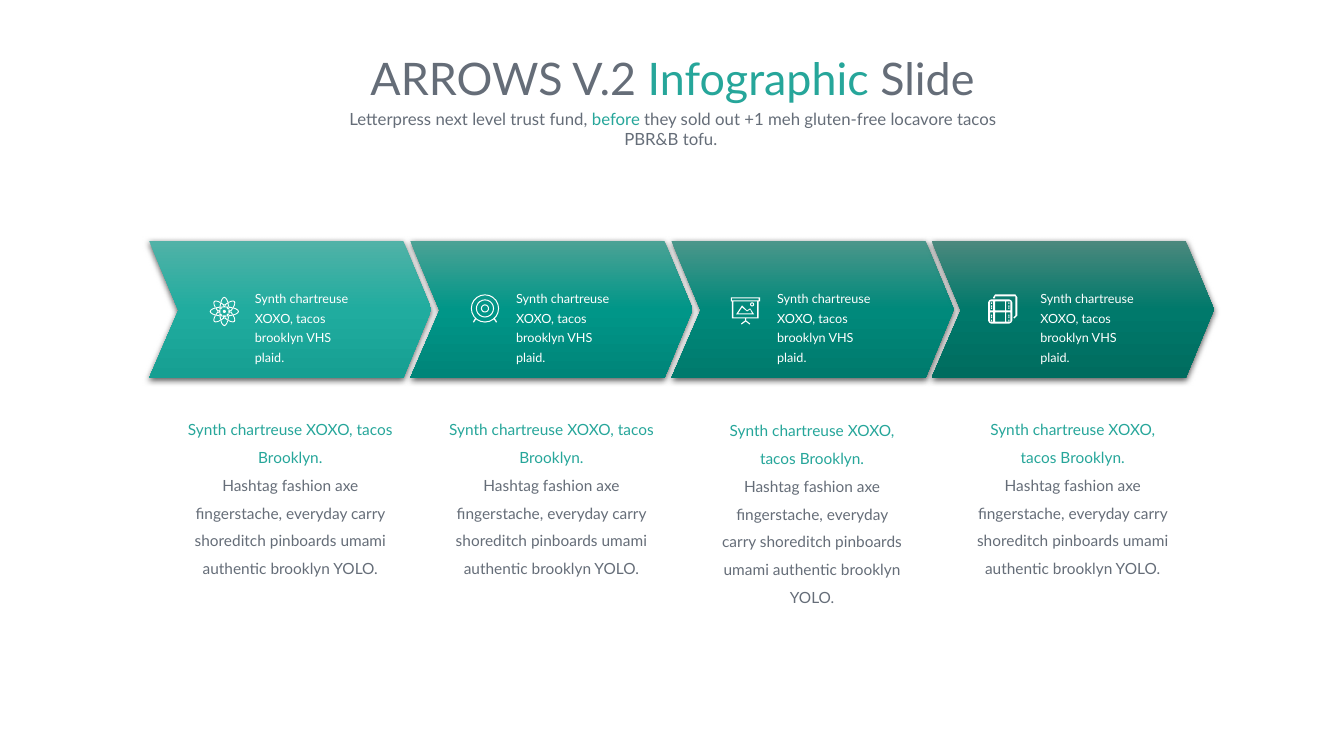
import math

from pptx import Presentation, util as u
from pptx.dml.color import RGBColor
from pptx.enum import text
from pptx.oxml import parse_xml
from pptx.oxml.ns import nsdecls

GREY, TEAL, WHITE = "656D78", "26A69A", "FFFFFF"


def add_text(parent, box, paragraphs, size, align, spacing=1.0):
    """Add a text box; each paragraph is a list of (wording, colour) runs."""
    shape = parent.add_textbox(*map(u.Inches, box))
    frame = shape.text_frame
    frame.word_wrap = True
    frame.auto_size = text.MSO_AUTO_SIZE.SHAPE_TO_FIT_TEXT
    for index, runs in enumerate(paragraphs):
        paragraph = frame.add_paragraph() if index else frame.paragraphs[0]
        paragraph.alignment = align
        paragraph.line_spacing = spacing
        for wording, colour in runs:
            run = paragraph.add_run()
            run.text = wording
            run.font.name = "Lato"
            run.font.size = u.Pt(size)
            run.font.color.rgb = RGBColor.from_string(colour)


def add_outline(parent, contours):
    """Add one freeform of closed contours; a contour inside another is a hole."""
    contours = [[(u.Inches(x), u.Inches(y)) for x, y in points] for points in contours]
    builder = parent.build_freeform(*contours[0][0])
    for index, points in enumerate(contours):
        if index:
            builder.move_to(*points[0])
        builder.add_line_segments(points[1:], close=True)
    shape = builder.convert_to_shape()
    shape.line.fill.background()
    return shape


presentation = Presentation()
presentation.slide_width = u.Inches(13.33)
presentation.slide_height = u.Inches(7.5)
slide = presentation.slides.add_slide(presentation.slide_layouts[6])

CENTER, LEFT = text.PP_ALIGN.CENTER, text.PP_ALIGN.LEFT
add_text(slide.shapes, (2.54, 0.45, 8.26, 0.64),
         [[("ARROWS V.2 ", GREY), ("Infographic ", TEAL), ("Slide", GREY)]], 32, CENTER)
add_text(slide.shapes, (3.2, 1.03, 6.95, 0.3),
         [[("Letterpress next level trust fund, ", GREY), ("before", TEAL),
           (" they sold out +1 meh gluten-free locavore tacos PBR&B tofu. ", GREY)]], 12, CENTER)

# Icons in hundredths of an inch from their own corner: ellipses are (centre x, centre y,
# radius x, radius y, angle), boxes are (left, top, right, bottom), polygons are point lists
atom = {
    "corner": (2.08, 2.95),
    "ellipses": [(14.5, 14, 14.5 - inset, 5 - inset, angle)
                 for angle in (0, 45, 90, 135) for inset in (0, 1)] + [(14.5, 14, 1.5, 1.5, 0)],
    "boxes": [],
    "polygons": [],
}
target = {
    "corner": (4.67, 2.92),
    "ellipses": [(14, 14, radius, radius, 0) for radius in (14, 13, 9, 8, 4, 3)],
    "boxes": [],
    "polygons": [[(4, 24), (5, 25), (3, 28), (2, 27.5)], [(24, 24), (23, 25), (25, 28), (26, 27.5)]],
}
board = {
    "corner": (7.25, 2.94),
    "ellipses": [(21, 8, 2, 2, 0), (21, 8, 1, 1, 0)],
    "boxes": [(0, 1, 29, 5), (1, 2, 27.5, 4), (1, 5, 27.5, 22), (2.5, 5, 26, 21)],
    "polygons": [
        [(14, 22), (14, 24), (10, 27), (10.5, 28), (14.5, 25), (18.5, 28), (19, 27),
         (15, 24), (15, 22)],
        [(5, 18), (11, 9), (16, 14), (19, 12), (23, 18)],
        [(7, 17), (11, 11), (16, 15), (19, 13), (21, 17)],
    ],
}
film = {
    "corner": (9.8, 2.92),
    "ellipses": [],
    "boxes": [(left, top, right, top + 9) for top in (7, 18)
              for left, right in ((2, 5), (7, 17), (18, 22))]
    + [(left, top, left + 1, top + 1.5) for left in (3, 20) for top in (8, 11, 13, 20, 22, 25)],
    "polygons": [
        [(0, 8), (1, 6), (3, 5), (21, 5), (23, 6), (24, 8), (24, 26), (23, 28), (21, 29),
         (3, 29), (1, 28), (0, 26)],
        [(5, 4), (5, 3), (7, 0), (27, 0), (29, 3), (29, 21), (26, 24), (25, 23), (27, 21),
         (27, 2), (7, 2), (7, 4)],
    ],
}

# arrow left, gradient, description box, label left, icon
steps = [
    (1.48, ("51B2A7", "20AC9F", "169F92"), (1.72, 4.03, 2.32, 1.74), 2.43, atom),
    (4.07, ("4BA295", "009688", "008579"), (4.31, 4.03, 2.32, 1.74), 5.02, target),
    (6.66, ("4B968A", "00897B", "007A6D"), (7.03, 4.04, 2.05, 1.74), 7.61, board),
    (9.24, ("4B887D", "00796B", "006C5F"), (9.55, 4.03, 2.18, 1.74), 10.22, film),
]
ARROW_POINTS = [(0.29, 3.08), (0, 2.39), (2.52, 2.39), (2.8, 3.07), (2.52, 3.75), (0, 3.75)]
ELLIPSE_TURNS = [2 * math.pi * step / 20 for step in range(20)]

for left, gradient, description_box, label_left, icon in steps:
    arrow = add_outline(slide.shapes, [[(left + x, y) for x, y in ARROW_POINTS]])
    stops = "".join(f'<a:gs pos="{50000 * i}"><a:srgbClr val="{colour}"/></a:gs>'
                    for i, colour in enumerate(gradient))
    properties = arrow.element.spPr
    properties.insert(2, parse_xml(
        f'<a:gradFill {nsdecls("a")} rotWithShape="1"><a:gsLst>{stops}</a:gsLst>'
        '<a:lin ang="5400000" scaled="0"/></a:gradFill>'))
    properties.append(parse_xml(
        f'<a:effectLst {nsdecls("a")}><a:outerShdw blurRad="57150" dist="19050" dir="5400000" '
        'algn="ctr" rotWithShape="0"><a:srgbClr val="000000"><a:alpha val="63000"/>'
        '</a:srgbClr></a:outerShdw></a:effectLst>'))

    add_text(slide.shapes, description_box, [
        [("Synth chartreuse XOXO, tacos Brooklyn.", TEAL)],
        [("Hashtag fashion axe fingerstache, everyday carry shoreditch pinboards umami "
          "authentic brooklyn YOLO.", GREY)],
    ], 11, CENTER, 1.5)

    group = slide.shapes.add_group_shape().shapes
    add_text(group, (label_left, 2.79, 1.25, 0.69),
             [[("Synth chartreuse XOXO, tacos brooklyn VHS plaid.", WHITE)]], 9, LEFT, 1.3)

    contours = list(icon["polygons"])
    contours += [[(l, t), (r, t), (r, b), (l, b)] for l, t, r, b in icon["boxes"]]
    for x, y, radius_x, radius_y, angle in icon["ellipses"]:
        cosine, sine = math.cos(math.radians(angle)), math.sin(math.radians(angle))
        ring = [(radius_x * math.cos(turn), radius_y * math.sin(turn)) for turn in ELLIPSE_TURNS]
        contours.append([(x + across * cosine - down * sine, y + across * sine + down * cosine)
                         for across, down in ring])
    icon_left, icon_top = icon["corner"]
    drawing = add_outline(group, [[(icon_left + x / 100, icon_top + y / 100) for x, y in points]
                                  for points in contours])
    drawing.shadow.inherit = False
    drawing.fill.solid()
    drawing.fill.fore_color.rgb = RGBColor.from_string(WHITE)

presentation.save("out.pptx")
